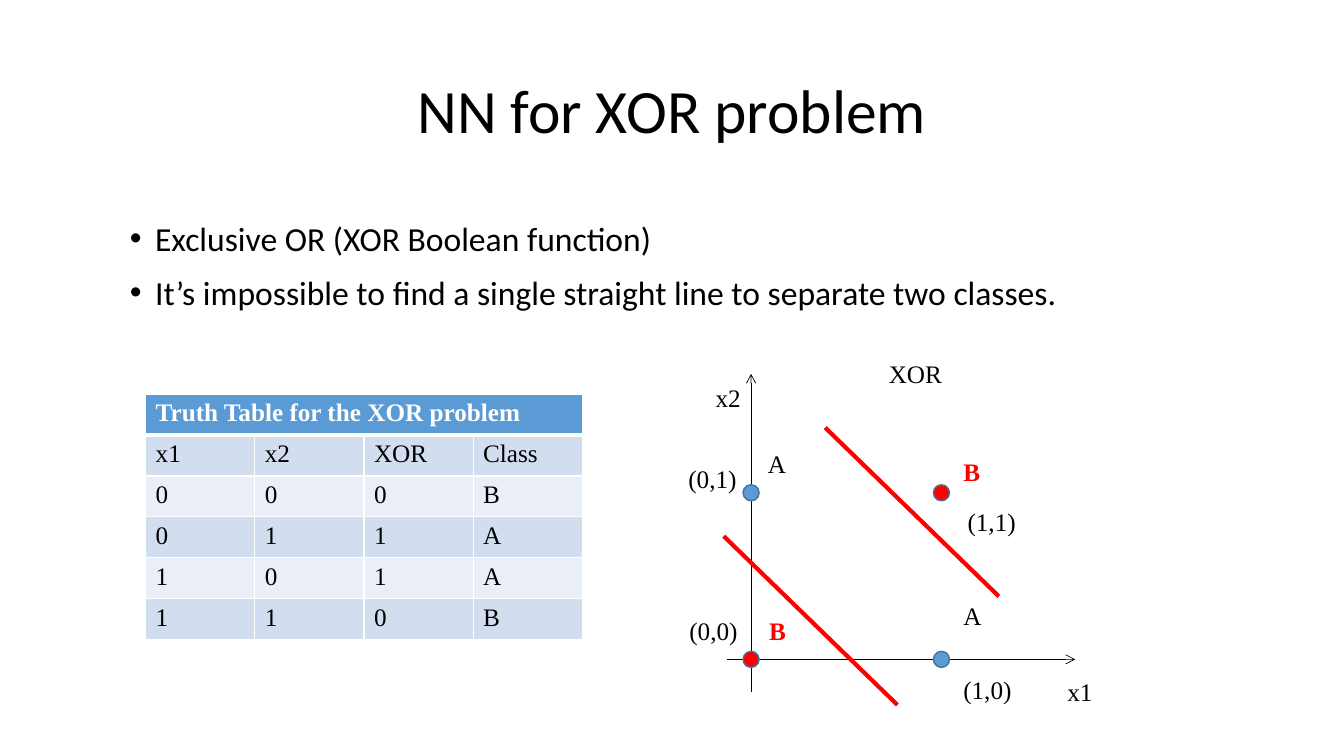
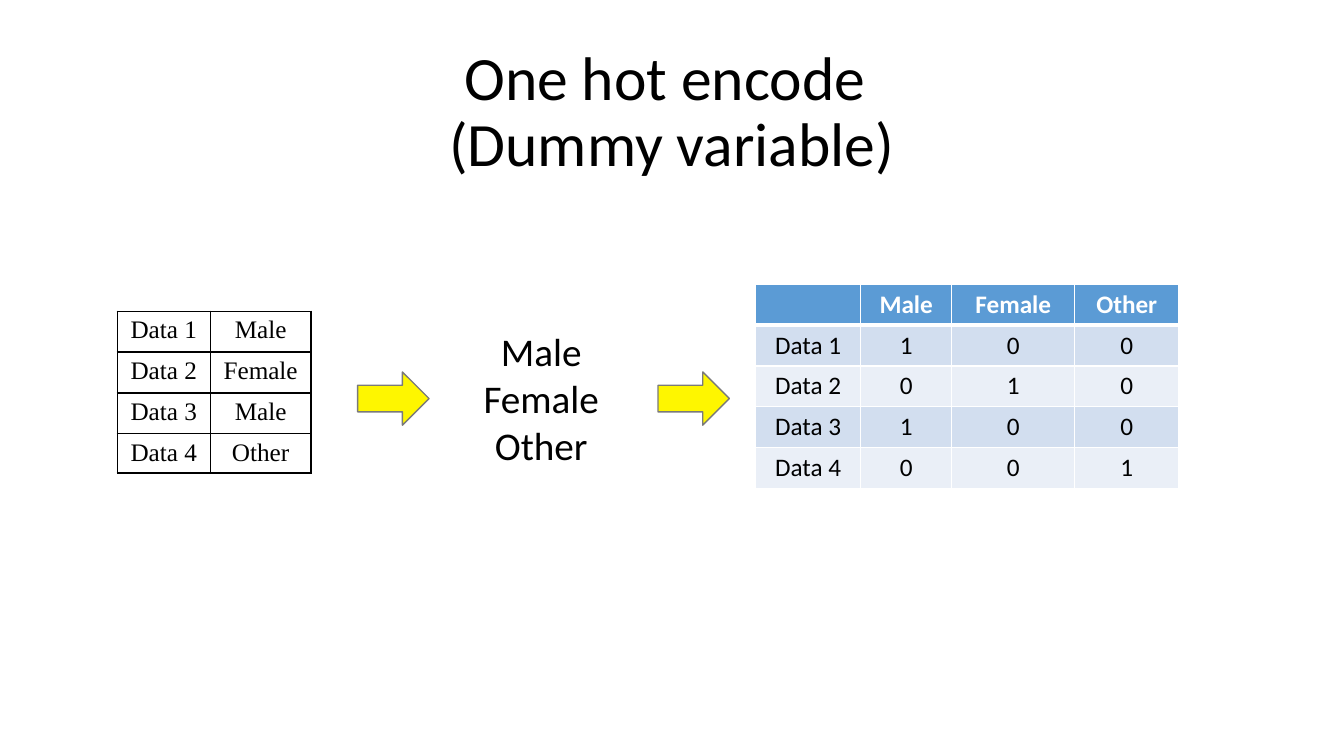
import pptx
import pptx.util
import pptx.dml.color
import pptx.enum.dml
import pptx.enum.shapes
import pptx.enum.text
import pptx.oxml
import pptx.oxml.ns
import lxml.etree

Pt = pptx.util.Pt
RGBColor = pptx.dml.color.RGBColor
PP_ALIGN = pptx.enum.text.PP_ALIGN
MSO_ANCHOR = pptx.enum.text.MSO_ANCHOR
MSO_SHAPE = pptx.enum.shapes.MSO_SHAPE
qn = pptx.oxml.ns.qn

BLACK = RGBColor(0x00, 0x00, 0x00)
WHITE = RGBColor(0xFF, 0xFF, 0xFF)
RED = RGBColor(0xFF, 0x00, 0x00)
BLUE = RGBColor(0x5B, 0x9B, 0xD5)
DARK_BLUE = RGBColor(0x43, 0x73, 0x9E)
BAND_DARK = RGBColor(0xD2, 0xDE, 0xEF)
BAND_LIGHT = RGBColor(0xEA, 0xEF, 0xF7)
YELLOW = RGBColor(0xFE, 0xF6, 0x00)
GRAY = RGBColor(0x7A, 0x7A, 0x7A)

SANS = "Calibri"
SERIF = "Times New Roman"
ROW_HEIGHT = 29.2


def write(frame, text, font_name, size, color=BLACK, bold=False, align=PP_ALIGN.LEFT):
    """Fill a text frame and give every run the same format."""
    frame.text = text
    for para in frame.paragraphs:
        para.alignment = align
        for span in para.runs:
            span.font.name = font_name
            span.font.size = Pt(size)
            span.font.bold = bold
            span.font.color.rgb = color


def build_table(page, left, top, widths, rows, font_name, align, styled=True):
    """Add a table: styled has a blue header and bands, otherwise a black grid."""
    frame = page.shapes.add_table(len(rows), len(widths), Pt(left), Pt(top),
                                  Pt(sum(widths)), Pt(ROW_HEIGHT * len(rows)))
    table = frame.table
    table.first_row = table.horz_banding = False
    for column, width in zip(table.columns, widths):
        column.width = Pt(width)
    for row_index, row in enumerate(rows):
        table.rows[row_index].height = Pt(ROW_HEIGHT)
        header = styled and row_index == 0
        for column_index, text in enumerate(row):
            cell = table.cell(row_index, column_index)
            write(cell.text_frame, text, font_name, 18, WHITE if header else BLACK, header, align)
            # Borders, with a thick rule under the header
            thick_side = {0: "lnB", 1: "lnT"}.get(row_index) if styled else None
            properties = cell._tc.get_or_add_tcPr()
            for side in ("lnL", "lnR", "lnT", "lnB"):
                border = lxml.etree.SubElement(properties, qn("a:" + side))
                border.set("w", str(Pt(3 if side == thick_side else 1)))
                paint = lxml.etree.SubElement(border, qn("a:solidFill"))
                color = lxml.etree.SubElement(paint, qn("a:srgbClr"))
                color.set("val", str(WHITE if styled else BLACK))
            if styled:
                cell.fill.solid()
                band = BAND_DARK if row_index % 2 else BAND_LIGHT
                cell.fill.fore_color.rgb = BLUE if header else band
            else:
                cell.fill.background()
    return table


deck = pptx.Presentation()
deck.slide_width = Pt(960)
deck.slide_height = Pt(540)

# Pages with their shared title style
pages = []
for heading in ("NN for XOR problem", "One hot encode \v(Dummy variable)"):
    page = deck.slides.add_slide(deck.slide_layouts[5])
    title = page.shapes.title
    title.left, title.top, title.width, title.height = Pt(66), Pt(28.75), Pt(828), Pt(104.4)
    write(title.text_frame, heading, SANS, 44, align=PP_ALIGN.CENTER)
    title.text_frame.auto_size = pptx.enum.text.MSO_AUTO_SIZE.NONE
    title.text_frame.vertical_anchor = MSO_ANCHOR.MIDDLE
    title.text_frame.paragraphs[0].line_spacing = 0.9
    pages.append(page)
xor_page, encode_page = pages

# XOR: bullets
box = xor_page.shapes.add_textbox(Pt(85.7), Pt(152), Pt(766), Pt(106.5))
box.text_frame.word_wrap = True
box.text_frame.text = ("Exclusive OR (XOR Boolean function)\n"
                       "It’s impossible to find a single straight line to separate two classes.")
for index, para in enumerate(box.text_frame.paragraphs):
    properties = para._p.get_or_add_pPr()
    properties.set("marL", str(Pt(18)))
    properties.set("indent", str(Pt(-18)))
    lxml.etree.SubElement(properties, qn("a:buFont")).set("typeface", "Arial")
    lxml.etree.SubElement(properties, qn("a:buChar")).set("char", "•")
    para.space_before = Pt(10 if index else 0)
    for span in para.runs:
        span.font.name = SANS
        span.font.size = Pt(24)
        span.font.color.rgb = BLACK

# XOR: truth table
truth_rows = [
    ("Truth Table for the XOR problem", "", "", ""),
    ("x1", "x2", "XOR", "Class"),
    ("0", "0", "0", "B"),
    ("0", "1", "1", "A"),
    ("1", "0", "1", "A"),
    ("1", "1", "0", "B"),
]
truth_table = build_table(xor_page, 104, 281.6, [78] * 4, truth_rows, SERIF, PP_ALIGN.LEFT)
truth_table.cell(0, 0).merge(truth_table.cell(0, 3))

# XOR: axes, points, then separating lines
ZERO_X, ONE_X = 536.5, 672.5
ZERO_Y, ONE_Y = 471, 352
DOT = 11.5
axes = [
    (ZERO_X, 494, ZERO_X, 267, BLACK, 0.5),
    (519.5, ZERO_Y, 768, ZERO_Y, BLACK, 0.5),
]
separators = [
    (589.5, 305.5, 713.5, 426, RED, 3),
    (517, 383, 641, 503.5, RED, 3),
]
for start_x, start_y, end_x, end_y, color, width in axes + separators:
    line = xor_page.shapes.add_connector(pptx.enum.shapes.MSO_CONNECTOR.STRAIGHT,
                                         Pt(start_x), Pt(start_y), Pt(end_x), Pt(end_y))
    line.line.color.rgb = color
    line.line.width = Pt(width)
    if color == BLACK:
        arrowhead = lxml.etree.SubElement(line.line._get_or_add_ln(), qn("a:tailEnd"))
        arrowhead.set("type", "arrow")
    lxml.etree.SubElement(line._element.spPr, qn("a:effectLst"))

for center_x, center_y, color in [(ZERO_X, ZERO_Y, RED), (ONE_X, ONE_Y, RED),
                                  (ZERO_X, ONE_Y, BLUE), (ONE_X, ZERO_Y, BLUE)]:
    dot = xor_page.shapes.add_shape(MSO_SHAPE.OVAL, Pt(center_x - DOT / 2),
                                    Pt(center_y - DOT / 2), Pt(DOT), Pt(DOT))
    dot.shadow.inherit = False
    dot.fill.solid()
    dot.fill.fore_color.rgb = color
    dot.line.color.rgb = DARK_BLUE
    dot.line.width = Pt(1)

# XOR: chart labels, box width by text length
label_widths = {1: 27.4, 2: 32.4, 3: 52.6, 5: 49.7}
labels = [
    ("x1", 755.3, 479.5), ("x2", 504, 269.3), ("XOR", 627.8, 252.7),
    ("B", 681, 322.6), ("B", 542.2, 436.3), ("A", 541.4, 316.8), ("A", 681, 425.5),
    ("(1,0)", 681, 478), ("(1,1)", 684, 357.8), ("(0,1)", 484.6, 327.6), ("(0,0)", 485.3, 436.3),
]
for text, left, top in labels:
    box = xor_page.shapes.add_textbox(Pt(left), Pt(top), Pt(label_widths[len(text)]), Pt(29))
    box.text_frame.word_wrap = False
    is_class_b = text == "B"
    write(box.text_frame, text, SERIF, 18, RED if is_class_b else BLACK, is_class_b)

# Encoding: data, categories and encoded table
genders = ["Male", "Female", "Other"]
records = [("Data 1", "Male"), ("Data 2", "Female"), ("Data 3", "Male"), ("Data 4", "Other")]
data_table = build_table(encode_page, 83.8, 222.3, [66.4, 72], records, SERIF,
                         PP_ALIGN.CENTER, styled=False)
data_table.rows[3].height = Pt(28)

box = encode_page.shapes.add_textbox(Pt(306), Pt(230.4), Pt(161.3), Pt(109))
box.text_frame.word_wrap = True
write(box.text_frame, "\n".join(genders), SANS, 28, align=PP_ALIGN.CENTER)

encoded_rows = [["", *genders]]
for name, value in records:
    encoded_rows.append([name] + [str(int(value == gender)) for gender in genders])
build_table(encode_page, 539.6, 203, [75.2, 65, 88, 74.2], encoded_rows, SANS, PP_ALIGN.CENTER)

# Encoding: arrows between the steps
for left in (255.5, 470):
    arrow = encode_page.shapes.add_shape(MSO_SHAPE.RIGHT_ARROW, Pt(left), Pt(265.7), Pt(51), Pt(38))
    arrow.shadow.inherit = False
    arrow.fill.solid()
    arrow.fill.fore_color.rgb = YELLOW
    arrow.line.color.rgb = GRAY
    arrow.line.width = Pt(1)

deck.save("out.pptx")
